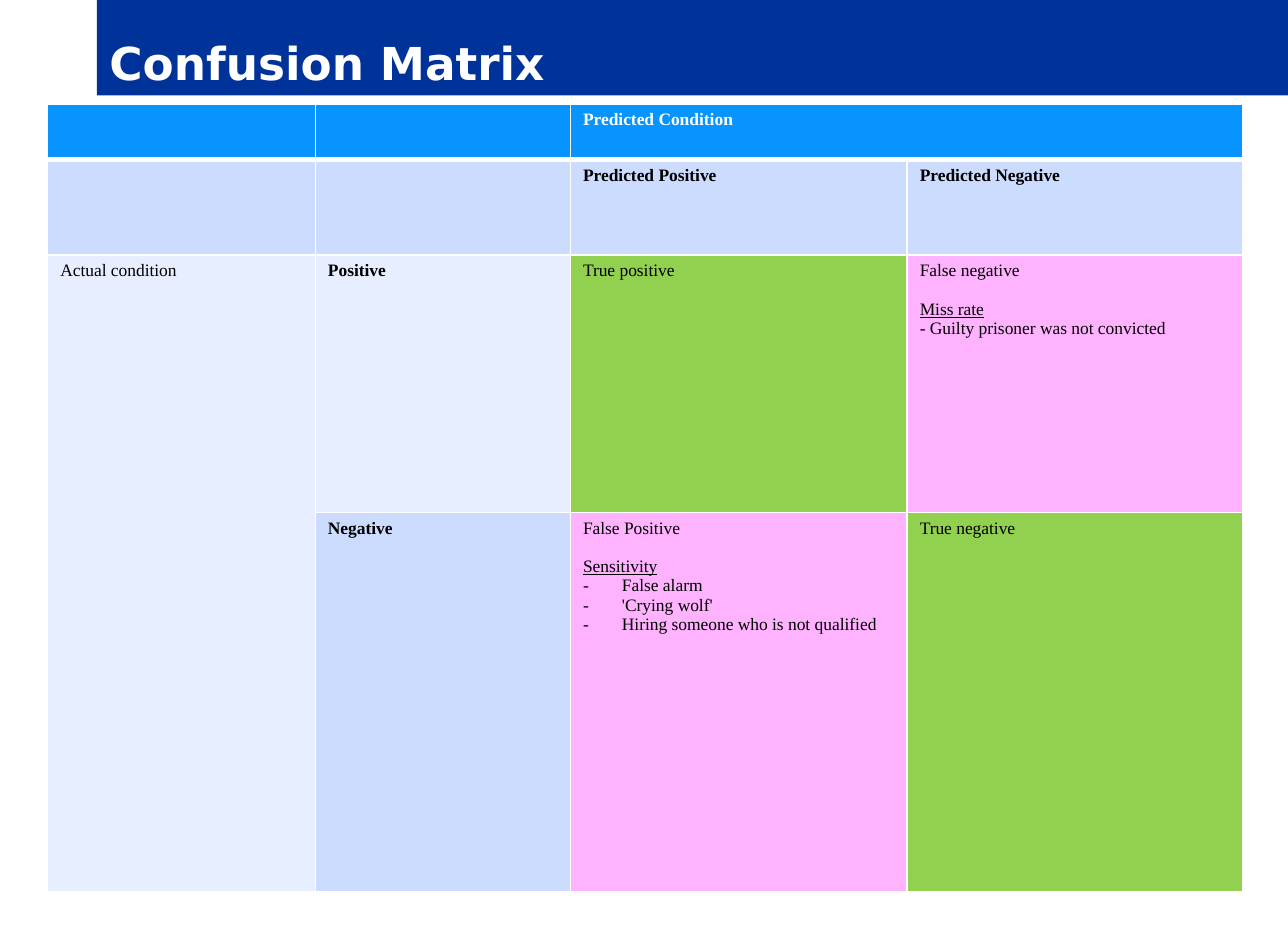
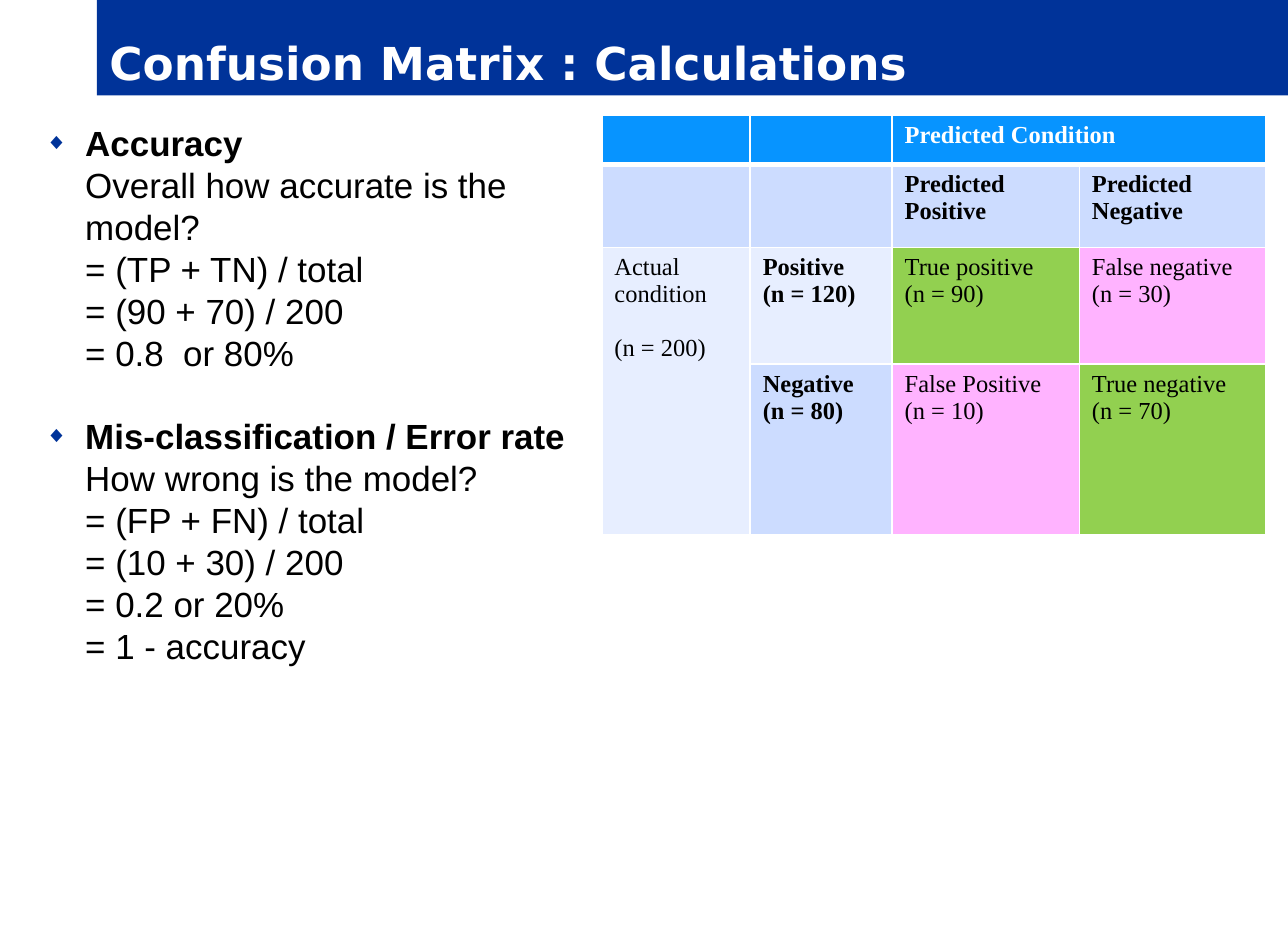
"""Build two slides that explain the confusion matrix and its calculations."""
import dataclasses

import lxml.etree
import pptx
import pptx.dml.color
import pptx.enum.text
import pptx.oxml.ns
import pptx.util

Inches = pptx.util.Inches
Pt = pptx.util.Pt


@dataclasses.dataclass(frozen=True)
class Theme:
    """Colours, fonts and type sizes shared by the slides."""

    navy: str = "003399"
    white: str = "FFFFFF"
    black: str = "000000"
    header: str = "0794FF"
    band: str = "CCDCFF"
    pale: str = "E7EEFF"
    correct: str = "92D050"
    wrong: str = "FFB3FF"
    title_font: str = "DejaVu Sans"
    table_font: str = "Times New Roman"
    body_font: str = "Arial"
    title_size: int = 26
    body_size: int = 20
    body_leading: int = 24
    large_table_size: int = 10
    small_table_size: int = 14


THEME = Theme()

MATRIX_FILLS = (
    (THEME.header,) * 4,
    (THEME.band,) * 4,
    (THEME.pale, THEME.pale, THEME.correct, THEME.wrong),
    (THEME.pale, THEME.band, THEME.wrong, THEME.correct),
)


@dataclasses.dataclass(frozen=True)
class Line:
    """One paragraph of a table cell."""

    text: str
    gap: bool = False
    underline: bool = False
    dash: bool = False


def color(value):
    """Turn a hexadecimal string into a colour."""
    return pptx.dml.color.RGBColor.from_string(value)


def write(paragraph, text, *, font, size, color_value=THEME.black, bold=False, underline=False):
    """Add text to a paragraph, with a line break at each newline."""
    for index, part in enumerate(text.split("\n")):
        if index:
            paragraph.add_line_break()
        run = paragraph.add_run()
        run.text = part
        run.font.name = font
        run.font.size = Pt(size)
        run.font.color.rgb = color(color_value)
        run.font.bold = bold
        run.font.underline = underline


def add_child(parent, tag, **attributes):
    """Append a drawing element to a parent element."""
    child = lxml.etree.SubElement(parent, pptx.oxml.ns.qn(tag))
    for name, value in attributes.items():
        child.set(name, str(value))
    return child


def set_bullet(paragraph, character, indent, *, font, color_value=None, percent=100):
    """Give a paragraph a hanging bullet."""
    properties = paragraph._p.get_or_add_pPr()
    properties.set("marL", str(Inches(indent)))
    properties.set("indent", str(-Inches(indent)))
    if color_value:
        add_child(add_child(properties, "a:buClr"), "a:srgbClr", val=color_value)
    add_child(properties, "a:buSzPct", val=percent * 1000)
    add_child(properties, "a:buFont", typeface=font)
    add_child(properties, "a:buChar", char=character)


def set_borders(cell, bottom_width):
    """Draw white borders around a cell."""
    properties = cell._tc.get_or_add_tcPr()
    for tag, width in (("a:lnL", 1), ("a:lnR", 1), ("a:lnT", 1), ("a:lnB", bottom_width)):
        border = add_child(properties, tag, w=Pt(width))
        add_child(add_child(border, "a:solidFill"), "a:srgbClr", val=THEME.white)


def paragraph_at(text_frame, index):
    """Return the first paragraph, or a new one for later indexes."""
    return text_frame.add_paragraph() if index else text_frame.paragraphs[0]


def add_titled_slide(presentation, text):
    """Add a slide with the title set in the navy band."""
    slide = presentation.slides.add_slide(presentation.slide_layouts[5])
    title = slide.shapes.title
    title.left, title.top, title.width, title.height = map(Inches, (0.77, 0, 9.48, 0.76))
    title.fill.solid()
    title.fill.fore_color.rgb = color(THEME.navy)
    frame = title.text_frame
    frame.auto_size = pptx.enum.text.MSO_AUTO_SIZE.NONE
    frame.vertical_anchor = pptx.enum.text.MSO_ANCHOR.BOTTOM
    frame.paragraphs[0].alignment = pptx.enum.text.PP_ALIGN.LEFT
    write(frame.paragraphs[0], text, font=THEME.title_font, size=THEME.title_size,
          color_value=THEME.white, bold=True)
    return slide


def fill_cell(cell, lines, size, **text_format):
    """Write the lines of one table cell."""
    for index, line in enumerate(lines or [Line("")]):
        paragraph = paragraph_at(cell.text_frame, index)
        if line.dash:
            set_bullet(paragraph, "-", 0.31, font=THEME.table_font)
        if line.gap:
            paragraph.space_before = Pt(round(size * 1.11, 1))
        write(paragraph, line.text, font=THEME.table_font, size=size,
              underline=line.underline, **text_format)


def add_matrix(slide, left, top, widths, heights, size, outcomes):
    """Add a confusion matrix whose last two rows hold the given outcomes."""
    rows = (
        ([], [], [Line("Predicted Condition")], []),
        ([], [], [Line("Predicted Positive")], [Line("Predicted Negative")]),
        *outcomes,
    )
    table = slide.shapes.add_table(
        len(heights), len(widths), Inches(left), Inches(top),
        Inches(sum(widths)), Inches(sum(heights))).table
    for column, width in zip(table.columns, widths):
        column.width = Inches(width)
    for row, height in zip(table.rows, heights):
        row.height = Inches(height)
    for row_index, (row, fills) in enumerate(zip(rows, MATRIX_FILLS)):
        is_header = row_index == 0
        for column_index, (lines, fill) in enumerate(zip(row, fills)):
            cell = table.cell(row_index, column_index)
            set_borders(cell, 3 if is_header else 1)
            cell.fill.solid()
            cell.fill.fore_color.rgb = color(fill)
            fill_cell(cell, lines, size, bold=row_index < 2 or column_index == 1,
                      color_value=THEME.white if is_header else THEME.black)
    table.cell(0, 2).merge(table.cell(0, 3))
    table.cell(2, 0).merge(table.cell(3, 0))


def add_calculations(slide, calculations):
    """Add the bulleted calculations, each with a bold heading."""
    box = slide.shapes.add_textbox(Inches(0.26), Inches(0.92), Inches(4.78), Inches(6.15))
    box.text_frame.word_wrap = True
    body = {"font": THEME.body_font, "size": THEME.body_size}
    for index, (heading, steps) in enumerate(calculations):
        paragraph = paragraph_at(box.text_frame, index)
        set_bullet(paragraph, "◆", 0.32, font=THEME.body_font,
                   color_value=THEME.navy, percent=65)
        paragraph.line_spacing = Pt(THEME.body_leading)
        if index:
            paragraph.space_before = Pt(THEME.body_leading)
        write(paragraph, heading, bold=True, **body)
        paragraph.add_line_break()
        write(paragraph, steps, **body)


def main():
    """Build and save the presentation."""
    presentation = pptx.Presentation()
    presentation.slide_width = Inches(10.25)
    presentation.slide_height = Inches(7.5)

    slide = add_titled_slide(presentation, "Confusion Matrix")
    add_matrix(
        slide, 0.38, 0.83, (2.13, 2.03, 2.68, 2.67), (0.44, 0.76, 2.05, 3.02),
        THEME.large_table_size,
        (
            ([Line("Actual condition")], [Line("Positive")], [Line("True positive")],
             [Line("False negative"), Line("Miss rate", gap=True, underline=True),
              Line("- Guilty prisoner was not convicted")]),
            ([], [Line("Negative")],
             [Line("False Positive"), Line("Sensitivity", gap=True, underline=True),
              Line("False alarm", dash=True), Line("'Crying wolf'", dash=True),
              Line("Hiring someone who is not qualified", dash=True)],
             [Line("True negative")]),
        ))

    slide = add_titled_slide(presentation, "Confusion Matrix : Calculations")
    add_matrix(
        slide, 4.79, 0.92, (1.18, 1.13, 1.49, 1.48), (0.39, 0.66, 0.93, 1.36),
        THEME.small_table_size,
        (
            ([Line("Actual condition"), Line("(n = 200)", gap=True)],
             [Line("Positive"), Line("(n = 120)")],
             [Line("True positive"), Line("(n = 90)")],
             [Line("False negative"), Line("(n = 30)")]),
            ([], [Line("Negative"), Line("(n = 80)")],
             [Line("False Positive"), Line("(n = 10)")],
             [Line("True negative"), Line("(n = 70)")]),
        ))
    add_calculations(slide, (
        ("Accuracy",
         "Overall how accurate is the model?\n= (TP + TN) / total\n"
         "= (90 + 70) / 200\n= 0.8  or 80%"),
        ("Mis-classification / Error rate",
         "How wrong is the model?\n= (FP + FN) / total\n"
         "= (10 + 30) / 200\n= 0.2 or 20%\n= 1 - accuracy"),
    ))
    presentation.save("out.pptx")


if __name__ == "__main__":
    main()
